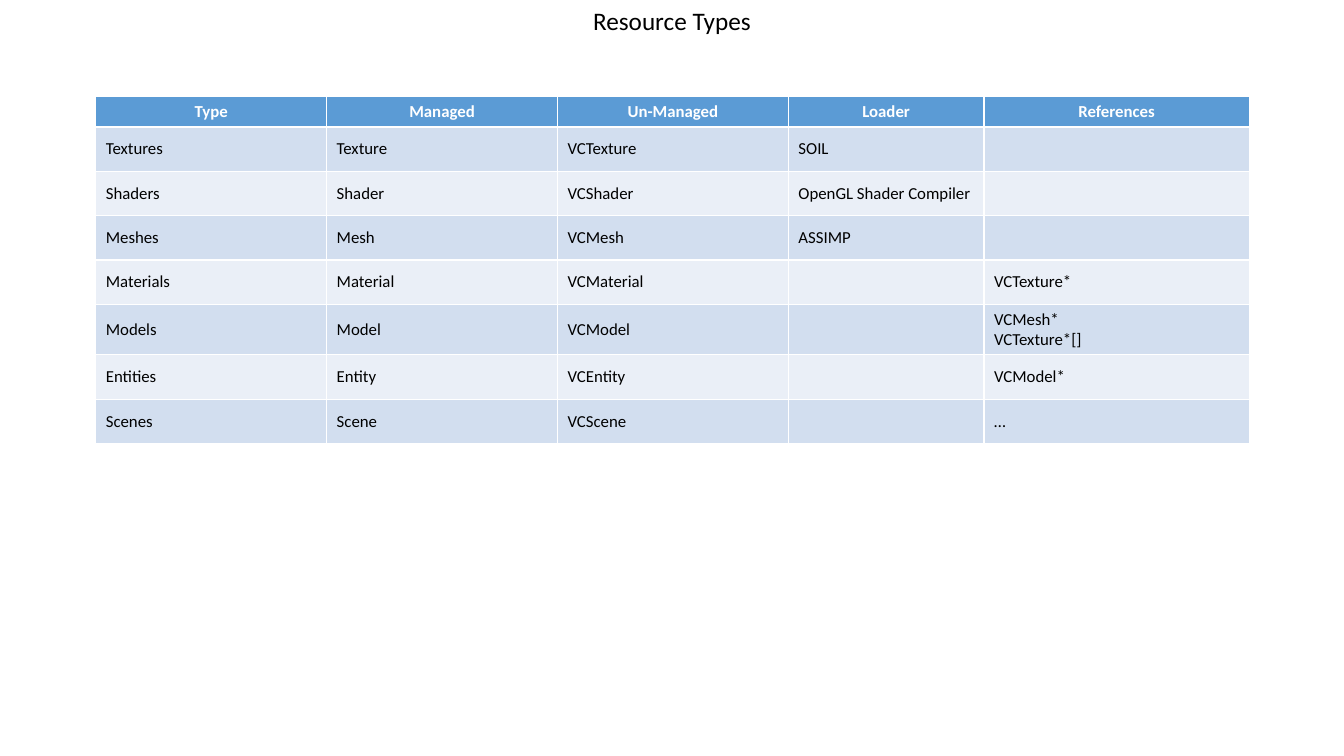
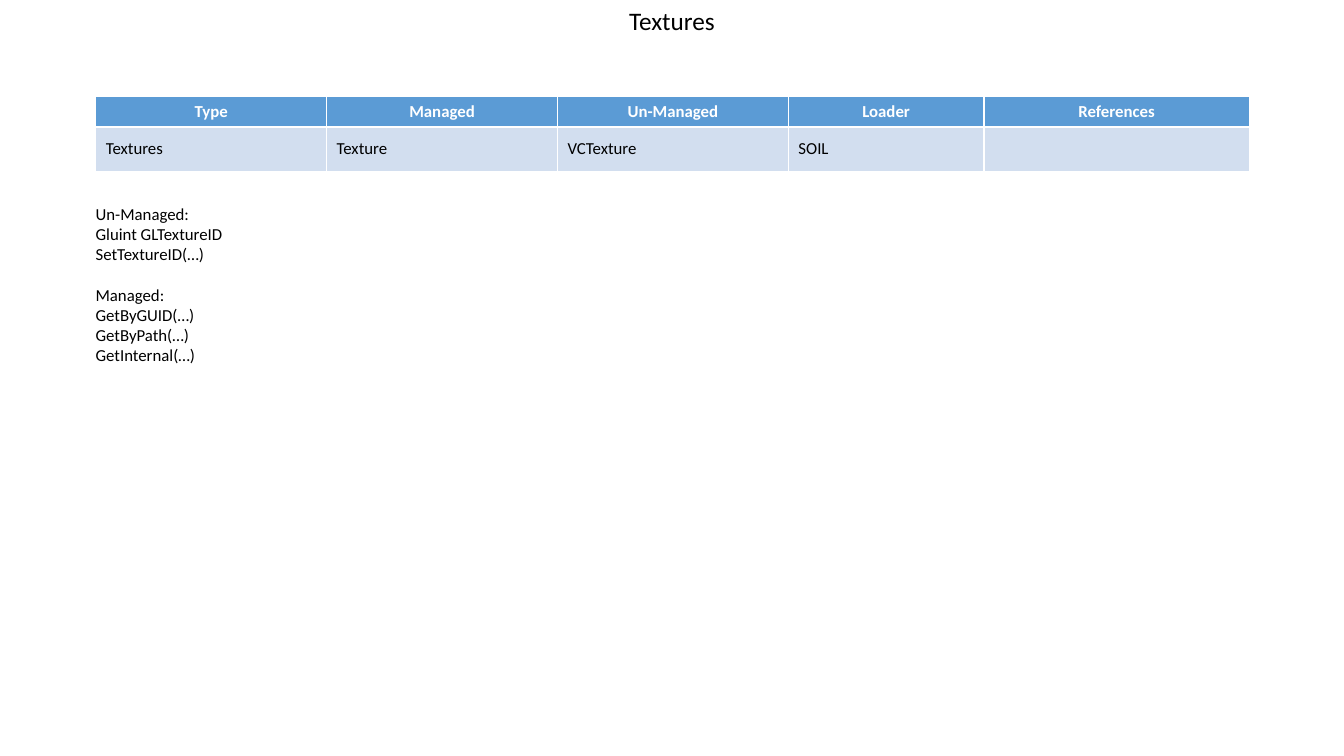
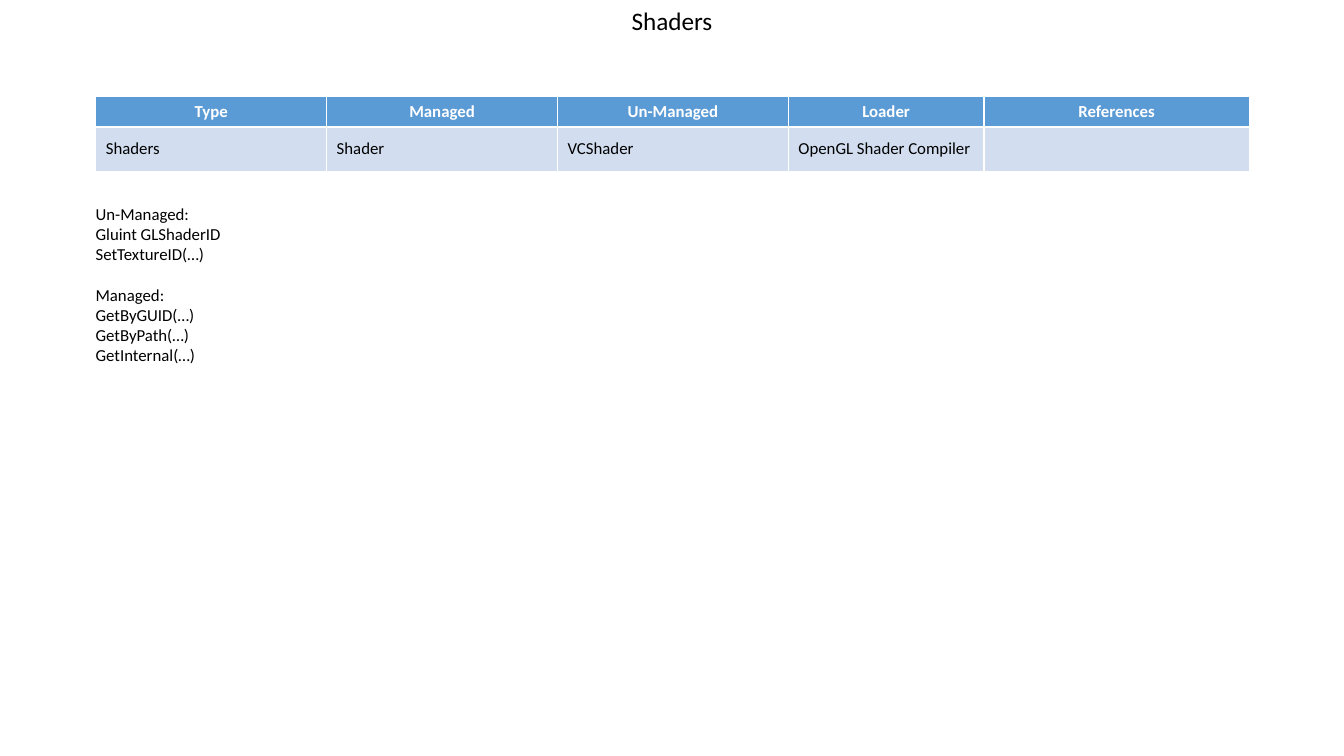
"""Build three slides that describe the resource types of an engine."""
import pptx
import pptx.dml.color
import pptx.enum.text
import pptx.util

Inches = pptx.util.Inches
Pt = pptx.util.Pt
RGBColor = pptx.dml.color.RGBColor
ALIGN = pptx.enum.text.PP_ALIGN
ANCHOR = pptx.enum.text.MSO_ANCHOR

BLACK = RGBColor(0x00, 0x00, 0x00)
WHITE = RGBColor(0xFF, 0xFF, 0xFF)
HEADER_BLUE = RGBColor(0x5B, 0x9B, 0xD5)
BANDS = (RGBColor(0xD2, 0xDE, 0xEF), RGBColor(0xEA, 0xEF, 0xF7))

HEADINGS = ("Type", "Managed", "Un-Managed", "Loader", "References")
COLUMN_WIDTHS = (2.29, 2.29, 2.29, 1.94, 2.63)
HEADER_HEIGHT = 0.3
ROW_HEIGHT = 0.44

TEXTURES = ("Textures", "Texture", "VCTexture", "SOIL", "")
SHADERS = ("Shaders", "Shader", "VCShader", "OpenGL Shader Compiler", "")
RESOURCES = (
    TEXTURES,
    SHADERS,
    ("Meshes", "Mesh", "VCMesh", "ASSIMP", ""),
    ("Materials", "Material", "VCMaterial", "", "VCTexture*"),
    ("Models", "Model", "VCModel", "", "VCMesh*\nVCTexture*[]"),
    ("Entities", "Entity", "VCEntity", "", "VCModel*"),
    ("Scenes", "Scene", "VCScene", "", "…"),
)
MANAGED_MEMBERS = ("Managed:", "GetByGUID(…)", "GetByPath(…)", "GetInternal(…)")


class ResourceDeck:
    """Hold the shared style and the current slide."""

    def __init__(self):
        self.deck = pptx.Presentation()
        self.deck.slide_width = Inches(13.33)
        self.deck.slide_height = Inches(7.5)
        self.page = None

    def set_text(self, frame, text, size=12, color=BLACK, bold=False, align=ALIGN.LEFT):
        """Fill a text frame with one paragraph per line."""
        frame.text = text
        for para in frame.paragraphs:
            para.alignment = align
            para.font.name = "Calibri"
            para.font.size = Pt(size)
            para.font.bold = bold
            para.font.color.rgb = color

    def text(self, left, top, width, height, text, **style):
        """Add a wrapping text box and return its frame."""
        box = self.page.shapes.add_textbox(
            Inches(left), Inches(top), Inches(width), Inches(height))
        frame = box.text_frame
        frame.word_wrap = True
        frame.auto_size = pptx.enum.text.MSO_AUTO_SIZE.SHAPE_TO_FIT_TEXT
        self.set_text(frame, text, **style)
        return frame

    def start(self, title):
        """Open a blank slide with a centred title."""
        self.page = self.deck.slides.add_slide(self.deck.slide_layouts[6])
        self.text(0, 0, 13.33, 0.4, title, size=18, align=ALIGN.CENTER)

    def table(self, resources):
        """Add the banded resource table."""
        height = HEADER_HEIGHT + ROW_HEIGHT * len(resources)
        table = self.page.shapes.add_table(
            len(resources) + 1, len(HEADINGS), Inches(0.95), Inches(0.96),
            Inches(sum(COLUMN_WIDTHS)), Inches(height)).table
        for column, width in zip(table.columns, COLUMN_WIDTHS):
            column.width = Inches(width)
        for index, values in enumerate((HEADINGS, *resources)):
            header = index == 0
            table.rows[index].height = Inches(HEADER_HEIGHT if header else ROW_HEIGHT)
            for cell, value in zip(table.rows[index].cells, values):
                cell.vertical_anchor = ANCHOR.MIDDLE
                cell.fill.solid()
                cell.fill.fore_color.rgb = HEADER_BLUE if header else BANDS[(index - 1) % 2]
                self.set_text(cell.text_frame, value,
                              color=WHITE if header else BLACK, bold=header,
                              align=ALIGN.CENTER if header else ALIGN.LEFT)

    def members(self, identifier):
        """List the un-managed and managed members of a resource."""
        unmanaged = ("Un-Managed:", f"Gluint {identifier}", "SetTextureID(…)")
        frame = self.text(0.85, 1.97, 11.61, 1.72,
                          "\n".join(unmanaged + MANAGED_MEMBERS))
        frame.paragraphs[len(unmanaged)].space_before = Pt(14.6)


resource_deck = ResourceDeck()
resource_deck.start("Resource Types")
resource_deck.table(RESOURCES)
for resource, identifier in ((TEXTURES, "GLTextureID"), (SHADERS, "GLShaderID")):
    resource_deck.start(resource[0])
    resource_deck.table([resource])
    resource_deck.members(identifier)
resource_deck.deck.save("out.pptx")
